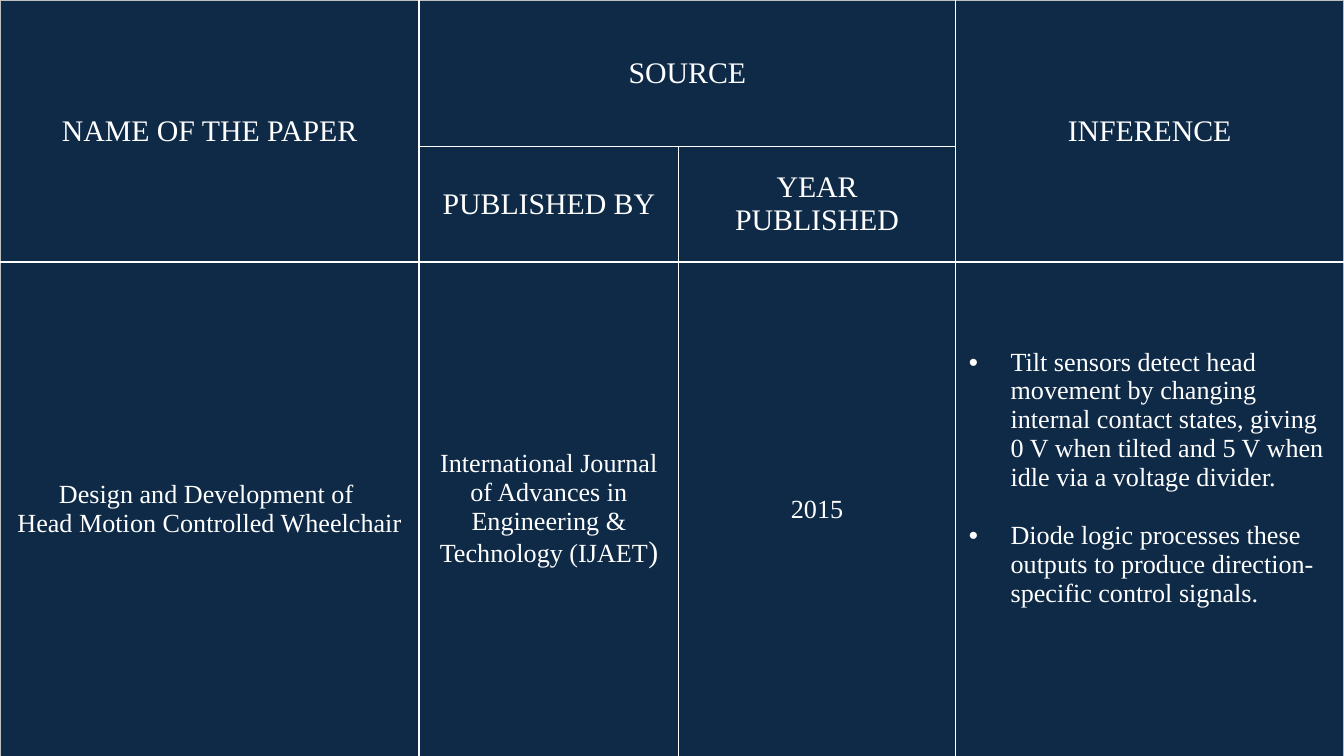
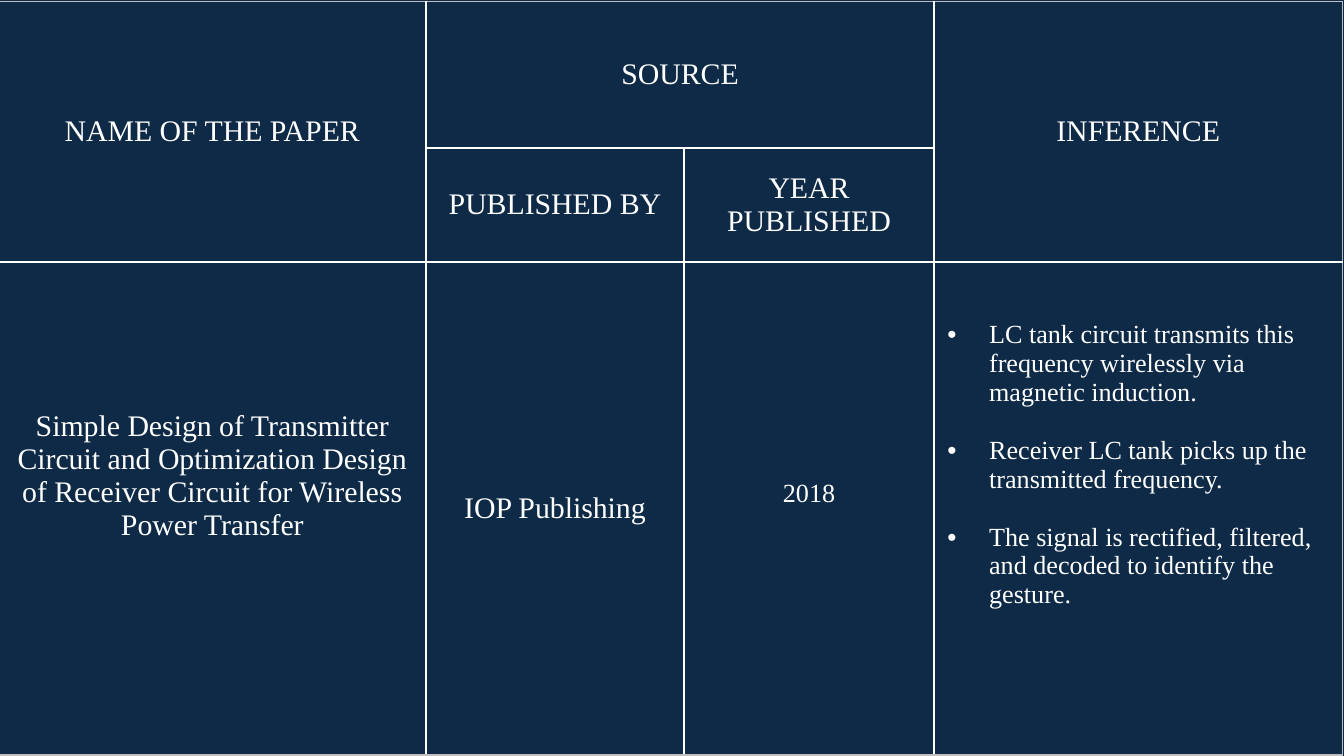
from lxml import etree
from pptx import Presentation
from pptx import util as u
from pptx.dml import color
from pptx.enum import text
from pptx.oxml import ns

NAVY, WHITE, GREY = "0E2A47", "FFFFFF", "BFBFBF"
FONT = "Times New Roman"
HEAD, BODY = 16, 14

PAPERS = [
    dict(
        box=(0, 0), cols=(3.12, 1.93, 2.06, 2.89), rows=(1.09, 0.86, 3.68),
        cells=[
            dict(lines=["Design and Development of ", "Head Motion Controlled Wheelchair"]),
            dict(lines=["International Journal of Advances in Engineering & Technology (IJAET"],
                 tail=")"),
            dict(lines=["2015"]),
            dict(lines=[
                "Tilt sensors detect head movement by changing internal contact states, "
                "giving 0 V when tilted and 5 V when idle via a voltage divider.",
                "Diode logic processes these outputs to produce direction-specific "
                "control signals."], bullet=True, foot=0.52),
        ]),
    dict(
        box=(-0.01, 0.01), cols=(3.18, 1.92, 1.86, 3.04), rows=(1.09, 0.85, 3.67),
        cells=[
            dict(lines=["Simple Design of Transmitter Circuit and Optimization Design of "
                        "Receiver Circuit for Wireless Power Transfer"], size=HEAD, foot=0.54),
            dict(lines=["IOP Publishing"], size=HEAD),
            dict(lines=["2018"], foot=0.27),
            dict(lines=[
                "LC tank circuit transmits this frequency wirelessly via magnetic induction.",
                "Receiver LC tank picks up the transmitted frequency.",
                "The signal is rectified, filtered, and decoded to identify the gesture."],
                bullet=True, foot=0.7),
        ]),
]


def rgb(code):
    return color.RGBColor.from_string(code)


def node(parent, tag, **attrs):
    return etree.SubElement(parent, ns.qn("a:" + tag), attrs)


def mark(para):
    props = para._p.get_or_add_pPr()
    props.set("marL", str(u.Inches(0.31)))
    props.set("indent", str(-u.Inches(0.31)))
    node(node(props, "buClr"), "srgbClr", val=WHITE)
    node(props, "buFont", typeface="Arial")
    node(props, "buChar", char="•")


def add_run(para, words, size):
    run = para.add_run()
    run.text = words
    run.font.name = FONT
    run.font.size = u.Pt(size)
    run.font.bold = False
    run.font.color.rgb = rgb(WHITE)


def write(cell, lines, size=BODY, bullet=False, tail="", foot=0.05):
    cell.vertical_anchor = text.MSO_ANCHOR.MIDDLE
    cell.margin_bottom = u.Inches(foot)
    frame = cell.text_frame
    for i, line in enumerate(lines):
        para = frame.add_paragraph() if i else frame.paragraphs[0]
        if bullet:
            mark(para)
            if i:
                para.space_before = u.Pt(15.5)
        else:
            para.alignment = text.PP_ALIGN.CENTER
        add_run(para, line, size)
    if tail:
        add_run(para, tail, HEAD)


def edge(cell, row, col):
    props = cell._tc.get_or_add_tcPr()
    outer = dict(L=col == 0, R=col == 3, T=row == 0, B=row == 2)
    for side, out in outer.items():
        line = node(props, "ln" + side, w=str(u.Pt(1)))
        node(node(line, "solidFill"), "srgbClr", val=GREY if out else WHITE)
    cell.fill.background()


def add_grid(slide, box, cols, rows):
    left, top = box
    size = [u.Inches(n) for n in (left, top, sum(cols), sum(rows))]
    grid = slide.shapes.add_table(len(rows), len(cols), *size).table
    grid.first_row = grid.horz_banding = False
    for part, wide in zip(grid.columns, cols):
        part.width = u.Inches(wide)
    for part, high in zip(grid.rows, rows):
        part.height = u.Inches(high)
    for row in range(len(rows)):
        for col in range(len(cols)):
            edge(grid.cell(row, col), row, col)
    return grid


def add_heads(grid):
    for start, end in (((0, 0), (1, 0)), ((0, 1), (0, 2)), ((0, 3), (1, 3))):
        grid.cell(*start).merge(grid.cell(*end))
    heads = {(0, 0): "NAME OF THE PAPER", (0, 1): "SOURCE", (0, 3): "INFERENCE",
             (1, 1): "PUBLISHED BY", (1, 2): "YEAR PUBLISHED"}
    for spot, words in heads.items():
        write(grid.cell(*spot), [words], size=HEAD)


def add_paper(deck, box, cols, rows, cells):
    slide = deck.slides.add_slide(deck.slide_layouts[6])
    fill = slide.background.fill
    fill.solid()
    fill.fore_color.rgb = rgb(NAVY)
    grid = add_grid(slide, box, cols, rows)
    add_heads(grid)
    for col, cell in enumerate(cells):
        write(grid.cell(2, col), **cell)


def main():
    deck = Presentation()
    deck.slide_width = u.Inches(10)
    deck.slide_height = u.Inches(10 * 9 / 16)
    for paper in PAPERS:
        add_paper(deck, **paper)
    deck.save("out.pptx")


if __name__ == "__main__":
    main()
